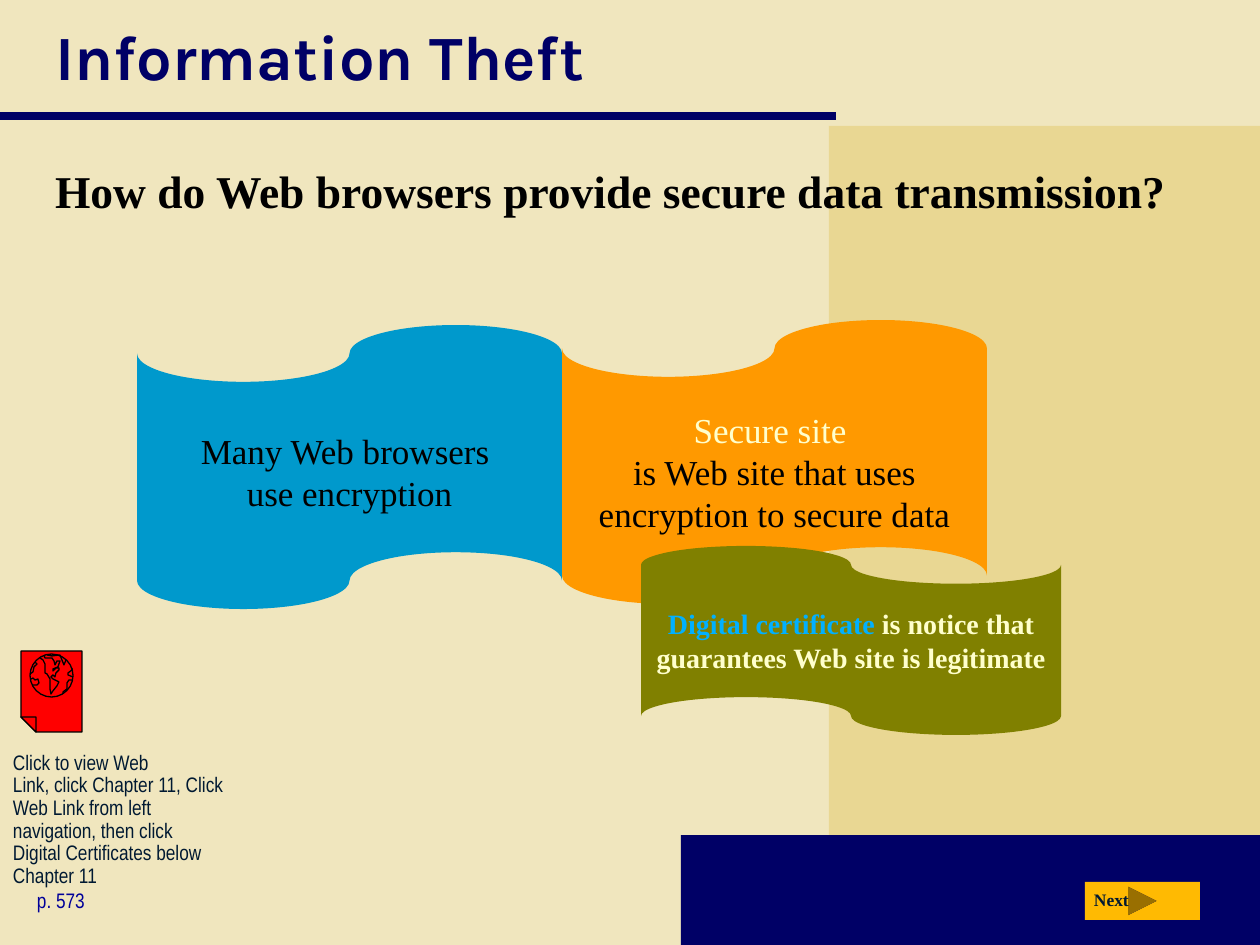
from lxml import etree
from pptx import Presentation
from pptx.dml.color import RGBColor
from pptx.enum.shapes import MSO_CONNECTOR, MSO_SHAPE
from pptx.enum.text import MSO_ANCHOR, PP_ALIGN
from pptx.oxml.ns import qn
from pptx.util import Pt

PX = 9144000 / 1260
RECTANGLE = MSO_SHAPE.RECTANGLE
TAPE = MSO_SHAPE.FLOWCHART_PUNCHED_TAPE
NEXT_BUTTON = MSO_SHAPE.ACTION_BUTTON_FORWARD_OR_NEXT
OVAL = MSO_SHAPE.OVAL
STRAIGHT = MSO_CONNECTOR.STRAIGHT
LEFT, CENTER = PP_ALIGN.LEFT, PP_ALIGN.CENTER
TOP, MIDDLE = MSO_ANCHOR.TOP, MSO_ANCHOR.MIDDLE

COLORS = {
    "cream": "F0E6BE", "sand": "E9D793", "navy": "000066", "black": "000000",
    "orange": "FF9900", "blue": "0099CC", "olive": "808000", "gold": "FFBA02",
    "red": "FF0000", "pale": "FFFFCC", "sky": "01B0FF", "ink": "001932",
    "page": "000099",
}

TITLE = {"name": "Karla", "size": Pt(36), "bold": True}
QUESTION = {"name": "Times New Roman", "size": Pt(26), "bold": True}
TAPE_TEXT = {"name": "Times New Roman", "size": Pt(20), "bold": False}
NOTICE = {"name": "Times New Roman", "size": Pt(16), "bold": True}
BUTTON = {"name": "Times New Roman", "size": Pt(10), "bold": True}
SMALL = {"name": "Arial Narrow", "size": Pt(12), "bold": False}

LINK_TEXT = (
    "Click to view Web \vLink, click Chapter 11, Click \vWeb Link from left \v"
    "navigation, then click \vDigital Certificates below Chapter 11"
)

PAGE = [(21, 651), (82, 651), (82, 732), (36, 732), (21, 717)]
FOLD = [(21, 717), (36, 717), (36, 732)]
COASTS = [
    [(47, 655), (52, 656), (60, 655), (62, 660), (64, 665), (66, 660)],
    [(44, 655), (45, 658), (52, 658), (54, 661), (55, 665), (57, 661),
     (60, 661), (58, 667), (53, 669), (53, 671), (56, 668), (59, 668),
     (59, 670), (56, 673), (55, 677), (53, 675), (51, 677), (53, 679),
     (59, 682), (57, 686), (53, 691), (51, 694), (50, 689), (50, 679),
     (47, 674), (45, 673), (45, 664), (43, 660), (40, 658)],
    [(30, 674), (33, 672), (34, 667), (37, 664), (35, 662)],
    [(31, 679), (33, 678), (35, 680), (38, 679), (39, 683), (37, 685),
     (33, 685)],
    [(63, 694), (63, 692), (67, 689), (67, 683), (69, 680), (72, 680)],
    [(73, 677), (68, 675), (68, 673), (72, 670), (72, 668)],
]


def px(length):
    return round(length * PX)


def color(name):
    return RGBColor.from_string(COLORS[name])


def paint(shape, fill=None, outline=None):
    shape.shadow.inherit = False
    if fill:
        shape.fill.solid()
        shape.fill.fore_color.rgb = color(fill)
    else:
        shape.fill.background()
    if outline:
        shape.line.color.rgb = color(outline)
        shape.line.width = Pt(0.75)
    else:
        shape.line.fill.background()


def add_panel(slide, kind, box, fill=None, outline=None):
    panel = slide.shapes.add_shape(kind, *map(px, box))
    paint(panel, fill, outline)
    return panel


def add_outline(slide, points, fill=None):
    builder = slide.shapes.build_freeform(*points[0], scale=PX)
    builder.add_line_segments(points[1:], close=bool(fill))
    paint(builder.convert_to_shape(), fill, "black")


def add_rule(slide, start, end, width):
    rule = slide.shapes.add_connector(STRAIGHT, *map(px, start + end))
    rule.line.color.rgb = color("navy")
    rule.line.width = Pt(width)
    etree.SubElement(rule._element.spPr, qn("a:effectLst"))


def write(shape, parts, style, align=LEFT, anchor=TOP, insets=(13, 6, 13, 6),
          spacing=None):
    frame = shape.text_frame
    sides = dict(zip(("left", "top", "right", "bottom"), map(px, insets)))
    layout = {"word_wrap": True, "vertical_anchor": anchor}
    layout.update({f"margin_{side}": inset for side, inset in sides.items()})
    for key, value in layout.items():
        setattr(frame, key, value)
    paragraph = frame.paragraphs[0]
    paragraph.alignment = align
    paragraph.line_spacing = spacing
    for wording, tint in parts:
        for index, line in enumerate(wording.split("\v")):
            if index:
                paragraph.add_line_break()
            if not line:
                continue
            run = paragraph.add_run()
            run.text = line
            for key, value in style.items():
                setattr(run.font, key, value)
            run.font.color.rgb = color(tint)


def add_label(slide, box, wording, tint, style, **layout):
    label = slide.shapes.add_textbox(*map(px, box))
    write(label, [(wording, tint)], style, **layout)


def add_title(slide, box, wording):
    title = slide.shapes.title
    for key, value in zip(("left", "top", "width", "height"), box):
        setattr(title, key, px(value))
    write(title, [(wording, "navy")], TITLE, anchor=MIDDLE)


def add_tape(slide, box, fill, parts, style, flipped=False, **layout):
    tape = add_panel(slide, TAPE, box, fill)
    write(tape, parts, style, align=CENTER, **layout)
    if flipped:
        tape._element.spPr.xfrm.set("flipV", "1")
        tape.text_frame._txBody.bodyPr.set("rot", "10800000")


def add_web_page_icon(slide):
    add_outline(slide, PAGE, "red")
    add_outline(slide, FOLD, "red")
    add_panel(slide, OVAL, (30, 654, 43, 43), "red", "black")
    for coast in COASTS:
        add_outline(slide, coast)


def main():
    deck = Presentation()
    deck.slide_width, deck.slide_height = px(1260), px(945)
    slide = deck.slides.add_slide(deck.slide_layouts[5])
    slide.background.fill.solid()
    slide.background.fill.fore_color.rgb = color("cream")

    add_panel(slide, RECTANGLE, (829, 126, 431, 819), "sand")
    add_panel(slide, RECTANGLE, (681, 835, 579, 110), "navy")
    add_rule(slide, (0, 116), (836, 116), 5)
    add_title(slide, (42, 0, 1183, 111), "Information Theft")
    add_label(slide, (42, 150, 1218, 81),
              "How do Web browsers provide secure data transmission?",
              "black", QUESTION, insets=(13, 13, 13, 6))

    add_tape(slide, (562, 320, 425, 284), "orange",
             [("Secure site \v", "pale"),
              ("is Web site that uses encryption to secure data", "black")],
             TAPE_TEXT, insets=(13, 32, 13, 0))
    add_tape(slide, (641, 546, 420, 189), "olive",
             [("Digital certificate", "sky"),
              (" is notice that guarantees Web site is legitimate", "pale")],
             NOTICE, flipped=True, anchor=MIDDLE, insets=(0, 6, 0, 6))
    add_tape(slide, (137, 325, 425, 284), "blue",
             [("Many Web browsers \vuse encryption", "black")],
             TAPE_TEXT, insets=(13, 48, 13, 6))

    add_label(slide, (24, 882, 213, 38), "p. 573", "page", SMALL)
    add_panel(slide, NEXT_BUTTON, (1085, 882, 115, 38), "gold")
    add_label(slide, (1081, 883, 64, 34), "Next", "ink", BUTTON)
    add_label(slide, (0, 746, 273, 84), LINK_TEXT, "ink", SMALL, spacing=0.9)
    add_web_page_icon(slide)
    deck.save("out.pptx")


if __name__ == "__main__":
    main()
